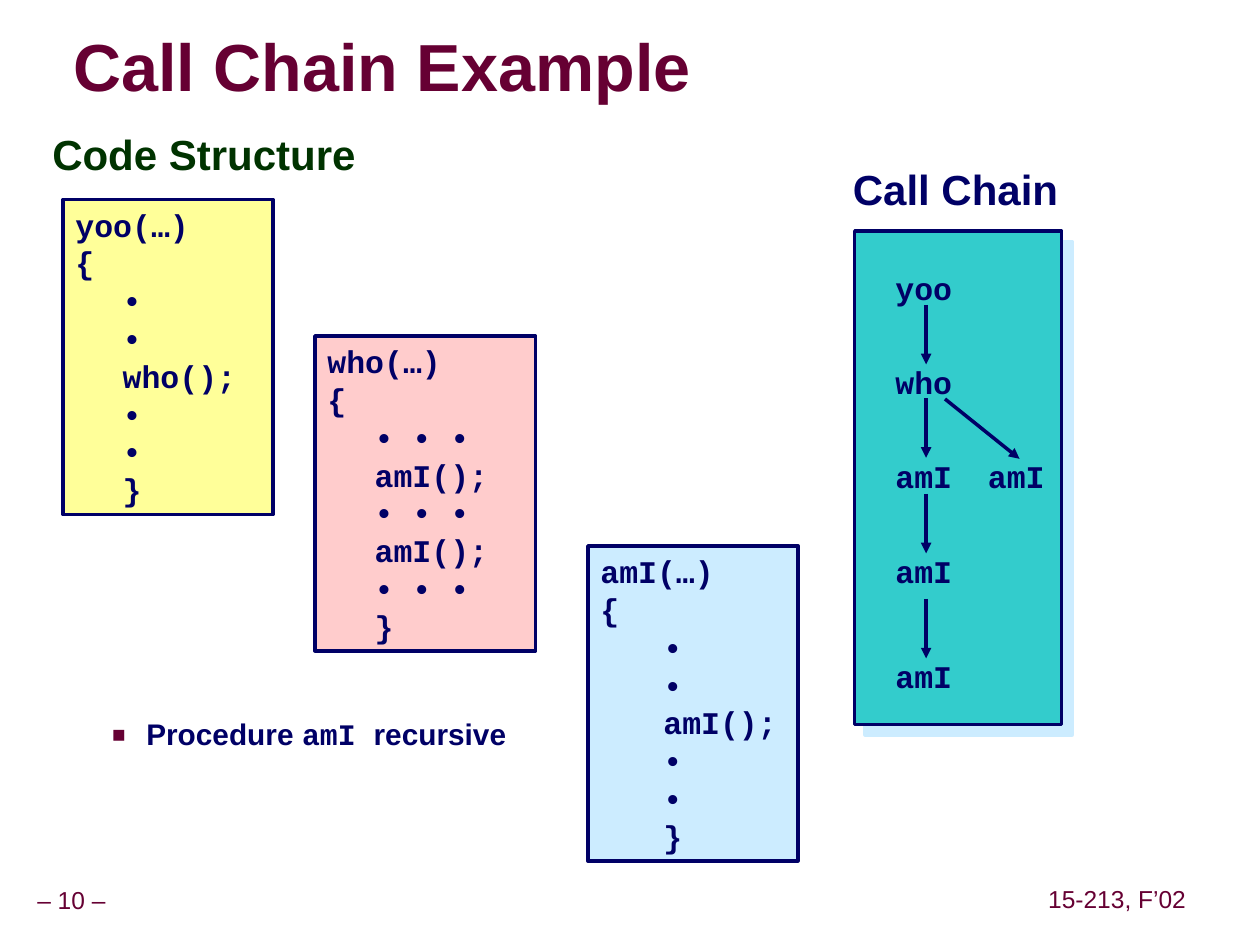
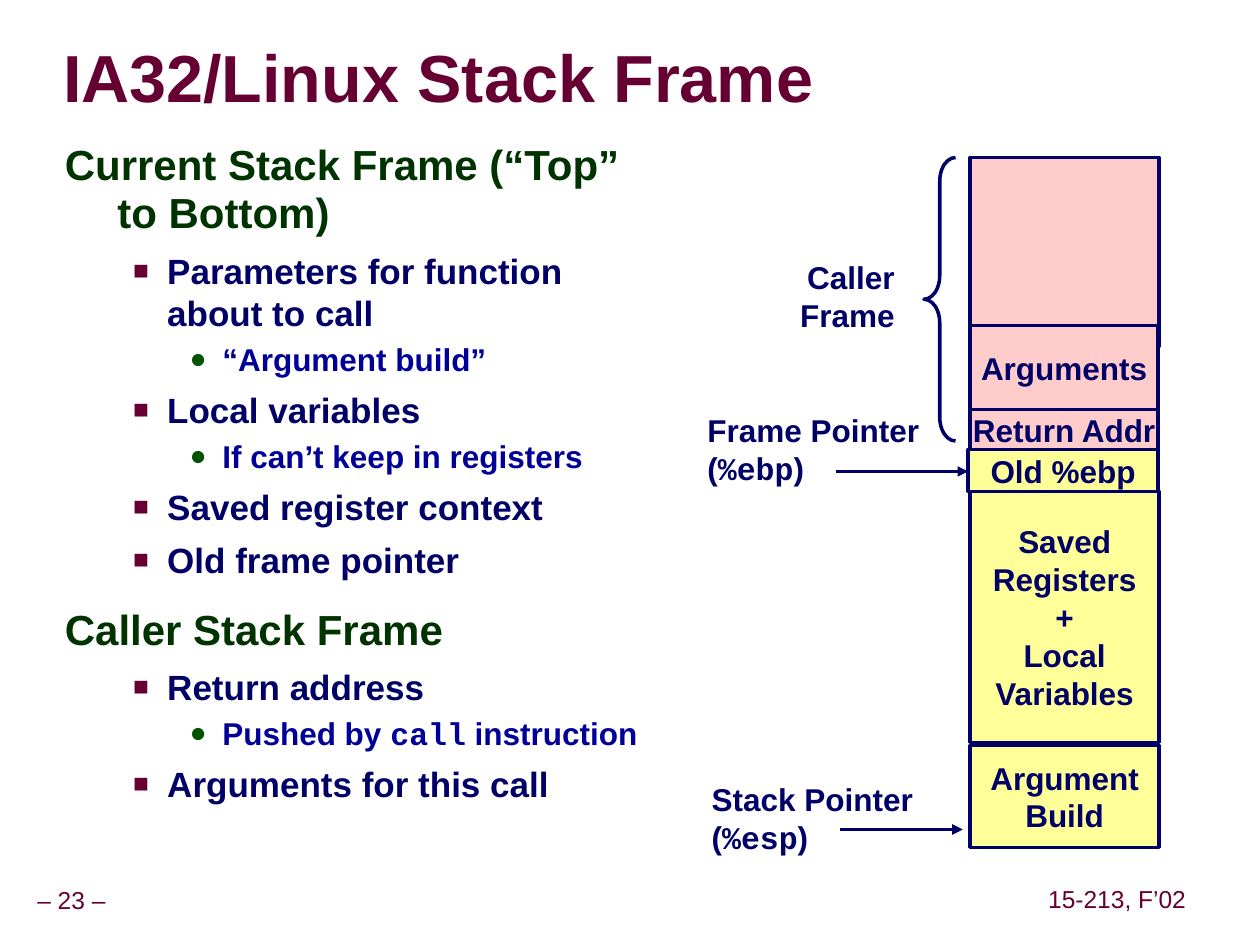
"""Build two slides on call chains and stack frames."""
from dataclasses import dataclass
from itertools import pairwise
from typing import Any

from lxml import etree
from pptx import Presentation
from pptx.dml.color import RGBColor
from pptx.enum.shapes import MSO_CONNECTOR, MSO_SHAPE
from pptx.enum.text import MSO_ANCHOR, MSO_AUTO_SIZE, PP_ALIGN
from pptx.oxml.ns import qn
from pptx.util import Emu, Inches, Pt

LEFT, CENTER, RIGHT = PP_ALIGN.LEFT, PP_ALIGN.CENTER, PP_ALIGN.RIGHT
TOP, MIDDLE = MSO_ANCHOR.TOP, MSO_ANCHOR.MIDDLE
NO_AUTOFIT = MSO_AUTO_SIZE.NONE
STRAIGHT = MSO_CONNECTOR.STRAIGHT
RECTANGLE, LEFT_BRACE = MSO_SHAPE.RECTANGLE, MSO_SHAPE.LEFT_BRACE

SLIDE_WIDTH, SLIDE_HEIGHT = Inches(10), Inches(7.5)
GRID_COLUMNS, GRID_ROWS = 120, 90
COLUMN, ROW = SLIDE_WIDTH / GRID_COLUMNS, SLIDE_HEIGHT / GRID_ROWS
TITLE_ONLY = 5

SANS, MONO = "Arial", "Courier New"
NAVY, MAROON, BLUE = "000066", "660033", "000099"
DARK_GREEN, GREEN = "003300", "005400"
YELLOW, PINK, PALE_BLUE, TEAL = "FFFF99", "FFCCCC", "CCECFF", "33CCCC"
SHADOW_GRAY = "999999"

TITLE = dict(size=38, color=MAROON, spacing=0.87)
FOOTER = dict(size=14, color=MAROON, bold=False, align=CENTER, spacing=0.9)
HEADING = dict(size=24, color=DARK_GREEN, spacing=0.95, before=15, left=5, indent=-5)
POINT = dict(size=20, before=6.2, left=9.75, indent=-3.25, bullet=("■", MAROON, 75))
DETAIL = dict(color=BLUE, spacing=1.07, before=2.2, left=15, indent=-3.12,
              bullet=("●", GREEN, 90))


@dataclass(frozen=True)
class Box:
    """A place on the grid, in columns and rows."""
    column: float
    row: float
    columns: float
    rows: float

    def lengths(self) -> tuple[Emu, Emu, Emu, Emu]:
        """Return left, top, width and height."""
        return (Emu(int(self.column * COLUMN)), Emu(int(self.row * ROW)),
                Emu(int(self.columns * COLUMN)), Emu(int(self.rows * ROW)))


@dataclass(frozen=True)
class Procedure:
    """A code panel whose lines after the brace are indented."""
    box: Box
    fill: str
    indent: float
    lines: tuple[str, ...]


@dataclass(frozen=True)
class StackCell:
    """One labelled region of the stack."""
    box: Box
    fill: str
    lines: tuple[str, ...] = ()


@dataclass(frozen=True)
class Pointer:
    """A register label and the row and ends of its arrow."""
    box: Box
    name: str
    register: str
    row: float
    start: float
    end: float


PROCEDURES = (
    Procedure(Box(6, 19, 20, 30), YELLOW, 4.5,
              ("yoo(…)", "{", "•", "•", "who();", "•", "•", "}")),
    Procedure(Box(30, 32, 21, 30), PINK, 4.5,
              ("who(…)", "{", "• • •", "amI();", "• • •", "amI();", "• • •", "}")),
    Procedure(Box(56, 52, 20, 30), PALE_BLUE, 6,
              ("amI(…)", "{", "•", "•", "amI();", "•", "•", "}")),
)
CHAIN = (("yoo", 25), ("who", 34), ("amI", 42.9), ("amI", 52), ("amI", 62))
CHAIN_COLUMN, CHAIN_ARROW_COLUMN, CHAIN_ARROW_ROWS = 84.1, 88.2, 5.65
STACK_CELLS = (
    StackCell(Box(92.4, 38.9, 17.9, 4), PINK, ("Return Addr",)),
    StackCell(Box(92.4, 46.8, 18, 23.9), YELLOW,
              ("Saved", "Registers", "+", "Local", "Variables")),
    StackCell(Box(92.4, 71, 18, 9.7), YELLOW, ("Argument", "Build")),
    StackCell(Box(92.4, 15, 18, 18), PINK),
    StackCell(Box(92.2, 42.8, 18.1, 4), YELLOW, ("Old %ebp",)),
    StackCell(Box(92.4, 31, 17.9, 8), PINK, ("Arguments",)),
)
POINTERS = (
    Pointer(Box(66.6, 73.7, 21.6, 8.4), "Stack Pointer", "(`%esp`)", 79, 80, 91.7),
    Pointer(Box(66.2, 38.6, 22.6, 8.4), "Frame Pointer", "(`%ebp`)", 44.9, 79.6, 92.2),
)
FRAME_OUTLINE = (
    ("Current Stack Frame (“Top” to Bottom)", HEADING),
    ("Parameters for function about to call", POINT),
    ("“Argument build”", DETAIL),
    ("Local variables", POINT),
    ("If can’t keep in registers", DETAIL),
    ("Saved register context", POINT),
    ("Old frame pointer", POINT),
    ("Caller Stack Frame", HEADING),
    ("Return address", POINT),
    ("Pushed by `call` instruction", DETAIL),
    ("Arguments for this call", POINT),
)


def rgb(color: str) -> RGBColor:
    """Turn a hex string into a colour."""
    return RGBColor.from_string(color)


def add_element(parent: Any, tag: str, **attributes: str) -> Any:
    """Append a DrawingML element."""
    return etree.SubElement(parent, qn(f"a:{tag}"), attributes)


def add_shadow(effects: Any, color: str, points: float) -> None:
    """Put a hard diagonal shadow in an effect list."""
    shadow = add_element(effects, "outerShdw", dist=str(Pt(points)), dir="2700000",
                         algn="ctr", rotWithShape="0")
    add_element(shadow, "srgbClr", val=color)


def write(frame: Any, text: str, *, size: float = 18, color: str = NAVY,
          font: str = SANS, bold: bool = True, align: Any = LEFT,
          spacing: float = 1, before: float = 0, left: float = 0,
          indent: float = 0, bullet: tuple[str, str, int] | None = None) -> Any:
    """Add a formatted paragraph; backticks enclose monospaced words."""
    first = not frame.text
    paragraph = frame.paragraphs[0] if first else frame.add_paragraph()
    paragraph.alignment = align
    paragraph.line_spacing = spacing
    paragraph.space_before = Pt(0 if first else before)
    properties = paragraph._p.get_or_add_pPr()
    properties.set("marL", str(int(left * COLUMN)))
    properties.set("indent", str(int(indent * COLUMN)))
    if bullet:
        character, bullet_color, percent = bullet
        add_element(add_element(properties, "buClr"), "srgbClr", val=bullet_color)
        add_element(properties, "buSzPct", val=str(percent * 1000))
        add_element(properties, "buFont", typeface=SANS)
        add_element(properties, "buChar", char=character)
    else:
        add_element(properties, "buNone")
    for index, part in enumerate(text.split("`")):
        if part:
            run = paragraph.add_run()
            run.text = part
            run.font.size, run.font.bold = Pt(size), bold
            run.font.color.rgb = rgb(color)
            run.font.name = MONO if index % 2 else font
    return paragraph


def prepare_frame(shape: Any, *, wrap: bool = False, anchor: Any = TOP) -> Any:
    """Set up and return the text frame of a shape."""
    frame = shape.text_frame
    frame.auto_size = NO_AUTOFIT
    frame.word_wrap = wrap
    frame.vertical_anchor = anchor
    return frame


def add_label(slide: Any, box: Box, *lines: str, wrap: bool = False,
              anchor: Any = TOP, **style: Any) -> None:
    """Add a text box whose lines share a style."""
    shape = slide.shapes.add_textbox(*box.lengths())
    frame = prepare_frame(shape, wrap=wrap, anchor=anchor)
    for line in lines:
        write(frame, line, **style)


def add_panel(slide: Any, box: Box, fill: str | None, kind: Any = RECTANGLE) -> Any:
    """Add a navy-outlined shape."""
    shape = slide.shapes.add_shape(kind, *box.lengths())
    shape.shadow.inherit = False
    if fill:
        shape.fill.solid()
        shape.fill.fore_color.rgb = rgb(fill)
    else:
        shape.fill.background()
    shape.line.color.rgb = rgb(NAVY)
    shape.line.width = Pt(2)
    return shape


def add_arrow(slide: Any, start: tuple[float, float], end: tuple[float, float]) -> None:
    """Add an arrow between two grid points."""
    ends = [Emu(int(length)) for column, row in (start, end)
            for length in (column * COLUMN, row * ROW)]
    arrow = slide.shapes.add_connector(STRAIGHT, *ends)
    arrow.line.color.rgb = rgb(NAVY)
    arrow.line.width = Pt(2)
    properties = arrow._element.spPr
    add_element(properties.find(qn("a:ln")), "tailEnd", type="triangle")
    add_element(properties, "effectLst")


def add_slide(presentation: Any, title: str, box: Box, number: int) -> Any:
    """Add a slide with a shadowed title and both footers."""
    slide = presentation.slides.add_slide(presentation.slide_layouts[TITLE_ONLY])
    shape = slide.shapes.title
    shape.left, shape.top, shape.width, shape.height = box.lengths()
    frame = prepare_frame(shape, wrap=True, anchor=MIDDLE)
    frame.margin_left = frame.margin_right = frame.margin_top = frame.margin_bottom = 0
    run = write(frame, title, **TITLE).runs[0]
    effects = etree.Element(qn("a:effectLst"))
    add_shadow(effects, SHADOW_GRAY, 3)
    run.font._element.find(qn("a:solidFill")).addnext(effects)
    add_label(slide, Box(1, 84, 11.6, 3.7), f"– {number} –", anchor=MIDDLE, **FOOTER)
    add_label(slide, Box(99.2, 83.9, 14.4, 3.7), "15-213, F’02", anchor=MIDDLE, **FOOTER)
    return slide


def build_call_chain(presentation: Any) -> None:
    """Draw three procedures and the chain of their calls."""
    slide = add_slide(presentation, "Call Chain Example", Box(7, 3, 82.2, 7.5), 10)
    add_label(slide, Box(3.8, 12, 36.4, 6.7), "Code Structure", wrap=True, **HEADING)
    for procedure in PROCEDURES:
        panel = add_panel(slide, procedure.box, procedure.fill)
        frame = prepare_frame(panel, wrap=True)
        for index, line in enumerate(procedure.lines):
            write(frame, line, font=MONO, left=procedure.indent if index > 1 else 0)

    chain_panel = add_panel(slide, Box(81.4, 22, 19.7, 47), TEAL)
    add_shadow(chain_panel._element.spPr.find(qn("a:effectLst")), PALE_BLUE, 8.5)
    add_label(slide, Box(80, 15, 22, 6), "Call Chain", size=24, align=CENTER)
    for name, row in CHAIN:
        add_label(slide, Box(CHAIN_COLUMN, row, 8, 4.8), name, font=MONO)
    for _, (_, row) in pairwise(CHAIN):
        end = row + 0.7
        add_arrow(slide, (CHAIN_ARROW_COLUMN, end - CHAIN_ARROW_ROWS),
                  (CHAIN_ARROW_COLUMN, end))
    add_label(slide, Box(92.9, 42.9, 8, 4.8), "amI", font=MONO)
    add_arrow(slide, (90, 38), (97.1, 43.7))
    add_label(slide, Box(3, 68, 50, 7), "Procedure `amI `recursive", wrap=True,
              **POINT | dict(size=17, spacing=0.9))


def build_stack_frame(presentation: Any) -> None:
    """Draw the outline and the diagram of a stack frame."""
    slide = add_slide(presentation, "IA32/Linux Stack Frame", Box(6, 4, 88.5, 7.5), 23)
    outline = slide.shapes.add_textbox(*Box(5, 13, 59, 65.8).lengths())
    frame = prepare_frame(outline, wrap=True)
    for text, style in FRAME_OUTLINE:
        write(frame, text, **style)
    for pointer in POINTERS:
        add_arrow(slide, (pointer.start, pointer.row), (pointer.end, pointer.row))
        add_label(slide, pointer.box, pointer.name, pointer.register)
    for cell in STACK_CELLS:
        frame = prepare_frame(add_panel(slide, cell.box, cell.fill), anchor=MIDDLE)
        for line in cell.lines:
            write(frame, line, align=CENTER)
    add_label(slide, Box(75, 24, 11.4, 8.4), "Caller", "Frame", align=RIGHT)
    brace = add_panel(slide, Box(88, 15, 3, 27), None, LEFT_BRACE)
    brace.adjustments[0] = 0.75


def main() -> None:
    """Build and save the presentation."""
    presentation = Presentation()
    presentation.slide_width, presentation.slide_height = SLIDE_WIDTH, SLIDE_HEIGHT
    build_call_chain(presentation)
    build_stack_frame(presentation)
    presentation.save("out.pptx")


if __name__ == "__main__":
    main()
